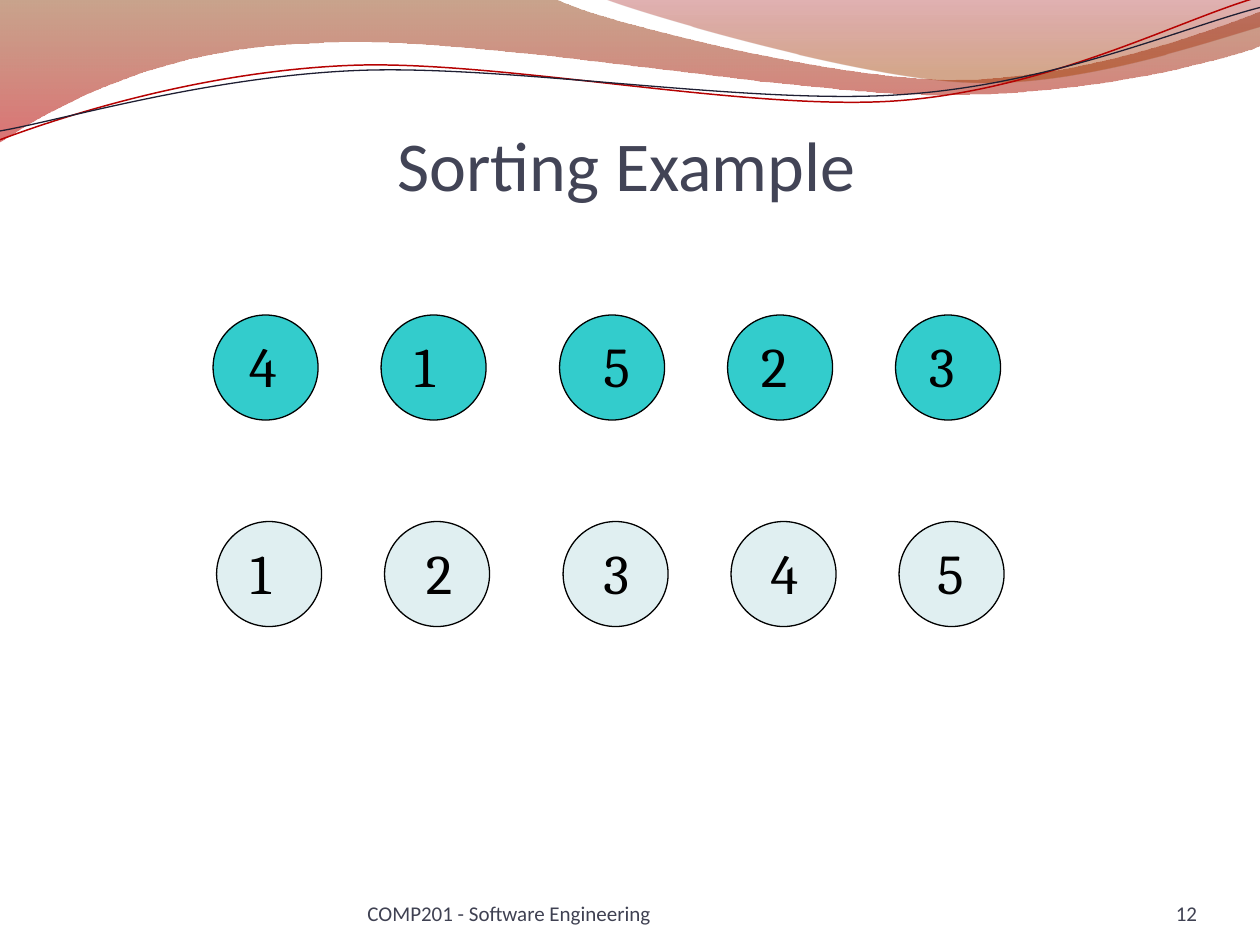
"""Build the Sorting Example slide: unsorted circles above sorted circles."""
import math

from lxml import etree
from pptx import Presentation
from pptx.dml.color import RGBColor
from pptx.enum.shapes import MSO_SHAPE
from pptx.enum.text import MSO_ANCHOR, PP_ALIGN
from pptx.oxml.ns import qn
from pptx.util import Pt

OVAL = MSO_SHAPE.OVAL
TOP, BOTTOM = MSO_ANCHOR.TOP, MSO_ANCHOR.BOTTOM
LEFT, CENTER, RIGHT = PP_ALIGN.LEFT, PP_ALIGN.CENTER, PP_ALIGN.RIGHT
COLORS = {
    "title": "424456", "footer": "3F4152", "black": "000000",
    "unsorted": "33CCCC", "sorted": "E0EFF1",
    "brown": "883400", "red": "BD0000", "crimson": "9A0000", "rust": "A23E00",
    "red_line": "B60202", "navy_line": "1F1F33",
}
RGB = {name: RGBColor.from_string(value) for name, value in COLORS.items()}
TILT = 2.7


def add_wave(shapes, segments, closed):
    """Draw a curve from points (lines) and point triples (cubic Beziers), in inches."""
    points = [(seg[i] * 7200, seg[i + 1] * 7200)
              for seg in segments for i in range(0, len(seg), 2)]
    builder = shapes.build_freeform(*points[0], scale=Pt(1) / 100)
    builder.add_line_segments(points[1:], close=closed)
    sp = builder.convert_to_shape()
    sp.shadow.inherit = False
    steps = iter(list(sp.element.iter(qn("a:lnTo"))))
    for seg in segments[1:]:
        step = next(steps)
        if len(seg) == 6:
            step.addprevious(curve := etree.Element(qn("a:cubicBezTo")))
            for part in (step, next(steps), next(steps)):
                curve.append(part[0])
                part.getparent().remove(part)
    return sp


def write_text(sp, text, size, font, color, align, anchor):
    """Fill a shape with one formatted run."""
    tf = sp.text_frame
    tf.word_wrap = True
    tf.vertical_anchor = anchor
    p = tf.paragraphs[0]
    p.alignment = align
    r = p.add_run()
    r.text = text
    r.font.size = Pt(size)
    r.font.name = font
    r.font.color.rgb = RGB[color]
    return tf


prs = Presentation()
prs.slide_width, prs.slide_height = Pt(720), Pt(540)
s = prs.slides.add_slide(prs.slide_layouts[5])

bands = [
    ([(0, 0), (4.4, -0.01), (4.76, 0.17, 6.64, 0.63, 7.58, 0.63),
      (8.53, 0.63, 9.58, 0.26, 10, 0.09), (10.01, 0.36),
      (9.83, 0.44, 8.7, 0.76, 7.46, 0.75), (6.22, 0.75, 3.82, 0.28, 2.57, 0.34),
      (1.29, 0.36, 0.46, 0.83, -0.01, 1.13)],
     [("brown", 0, 45), ("red", 1, 55)]),
    ([(4.79, -0.01), (5.09, 0.11, 6.82, 0.62, 7.69, 0.65),
      (8.56, 0.69, 9.61, 0.32, 10, 0.21), (10, 0)],
     [("crimson", 0, 30), ("rust", 0.8, 45)]),
]
for segments, stops in bands:
    sp = add_wave(s.shapes, segments, True)
    sp.line.fill.background()
    sp.fill.gradient()
    sp.fill.gradient_angle = 270
    for stop, (color, position, _) in zip(sp.fill.gradient_stops, stops):
        stop.color.rgb = RGB[color]
        stop.position = position
    grad = sp.element.spPr.find(qn("a:gradFill"))
    for clr, (_, _, opacity) in zip(grad.iter(qn("a:srgbClr")), stops):
        etree.SubElement(clr, qn("a:alpha")).set("val", str(opacity * 1000))

lines = [
    ([(0, 1.11), (0.48, 0.93, 1.58, 0.57, 2.77, 0.52),
      (3.95, 0.47, 5.93, 0.89, 7.13, 0.8), (8.33, 0.71, 9.38, 0.15, 9.98, -0.02)],
     "red_line", 0.85),
    ([(0, 1.04), (0.47, 0.96, 1.64, 0.61, 2.83, 0.56),
      (4.03, 0.51, 5.97, 0.84, 7.17, 0.75), (8.36, 0.67, 9.41, 0.21, 10, 0.06)],
     "navy_line", 0.75),
]
cos, sin = math.cos(math.radians(TILT)), math.sin(math.radians(TILT))
group = s.shapes.add_group_shape()
for segments, color, width in lines:
    level = []
    for seg in segments:
        pairs = [(x - 5, y - 0.58) for x, y in zip(seg[::2], seg[1::2])]
        level.append([v for x, y in pairs
                      for v in (5 + x * cos - y * sin, 0.58 + x * sin + y * cos)])
    sp = add_wave(group.shapes, level, False)
    sp.rotation = 360 - TILT
    sp.fill.background()
    sp.line.color.rgb = RGB[color]
    sp.line.width = Pt(width)

title = s.shapes.title
title.left, title.top, title.width, title.height = Pt(34), Pt(56), Pt(648), Pt(61.5)
tf = write_text(title, "Sorting Example", 40, "Calibri", "title", CENTER, BOTTOM)
tf.margin_left = tf.margin_right = tf.margin_bottom = 0

columns = [121.75, 217.75, 319.75, 415.75, 511.75]
sorted_group = s.shapes.add_group_shape()
rows = [
    ("unsorted", 0, 180, "41523", [13.5, 12, 18, 12, 12]),
    ("sorted", 2, 298, "12345", [12.25, 16.5, 16, 15.5, 14.75]),
]
for color, shift, top, digits, indents in rows:
    for column, digit, indent in zip(columns, digits, indents):
        left = column + shift
        group = sorted_group if color == "sorted" else s.shapes.add_group_shape()
        sp = group.shapes.add_shape(OVAL, Pt(left), Pt(top), Pt(60), Pt(60))
        sp.shadow.inherit = False
        sp.fill.solid()
        sp.fill.fore_color.rgb = RGB[color]
        sp.line.color.rgb = RGB["black"]
        sp.line.width = Pt(0.75)
        label = group.shapes.add_textbox(
            Pt(left + indent), Pt(top + 6), Pt(60 - indent), Pt(45.5))
        write_text(label, digit, 32, "Cambria", "black", LEFT, TOP)

footers = [
    ("12", 624, 60, RIGHT),
    ("COMP201 - Software Engineering", 210, 264, LEFT),
]
for text, left, width, align in footers:
    sp = s.shapes.add_textbox(Pt(left), Pt(500.5), Pt(width), Pt(28.5))
    tf = write_text(sp, text, 12, "Calibri", "footer", align, BOTTOM)
    tf.margin_left = tf.margin_right = tf.margin_top = tf.margin_bottom = 0

prs.save("out.pptx")
